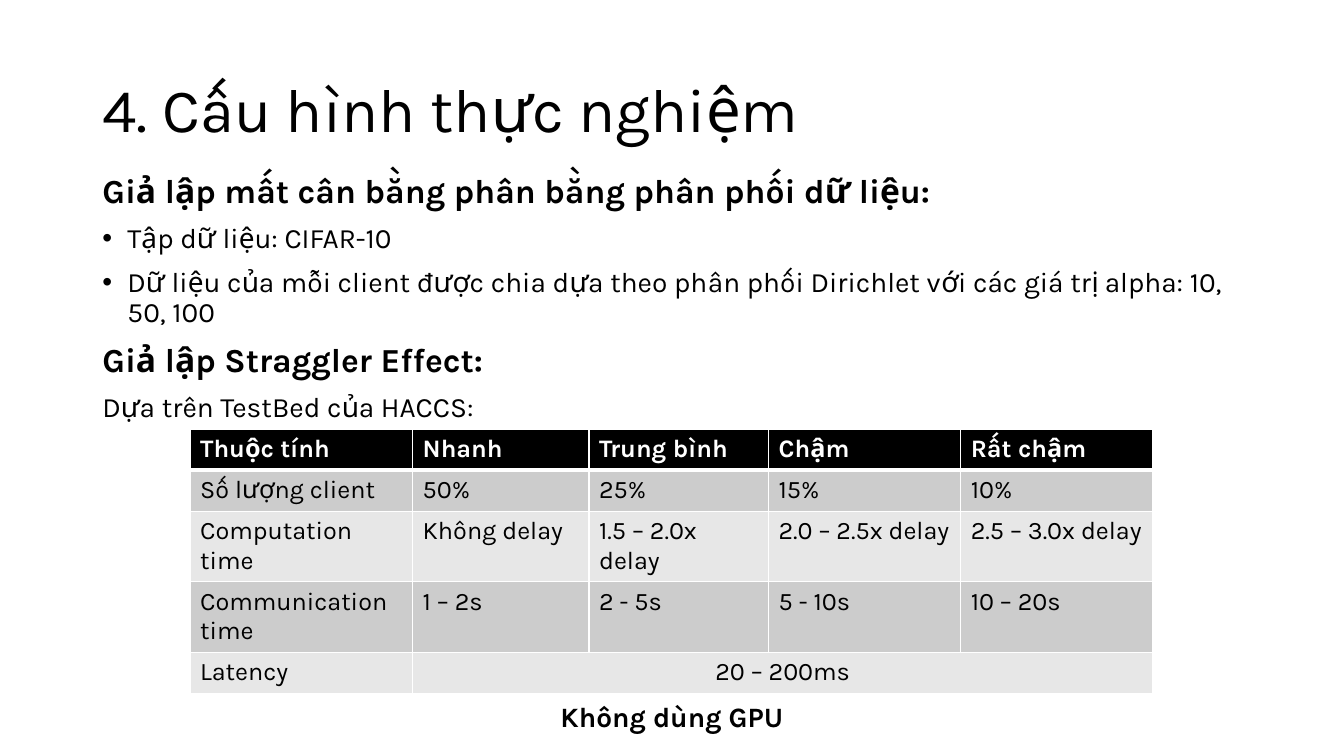
from lxml.etree import SubElement
from pptx import Presentation
from pptx.dml.color import RGBColor
from pptx.enum.text import MSO_ANCHOR, PP_ALIGN
from pptx.oxml.ns import qn
from pptx.util import Pt

PX = 9525  # EMU in one px, 96 px to the inch
FACE = "Karla"
BLACK = RGBColor(0x00, 0x00, 0x00)
WHITE = RGBColor(0xFF, 0xFF, 0xFF)
GREY = RGBColor(0xCC, 0xCC, 0xCC)
PALE = RGBColor(0xE7, 0xE7, 0xE7)

TITLE = "4. Cấu hình thực nghiệm"
# Text, size, bold, bullet
LINES = [
    ("Giả lập mất cân bằng phân bằng phân phối dữ liệu:", 24, True, False),
    ("Tập dữ liệu: CIFAR-10", 20, False, True),
    ("Dữ liệu của mỗi client được chia dựa theo phân phối Dirichlet "
     "với các giá trị alpha: 10, 50, 100", 20, False, True),
    ("Giả lập Straggler Effect:", 24, True, False),
    ("Dựa trên TestBed của HACCS:", 20, False, False),
]
NOTE = "Không dùng GPU"
ROWS = [
    ["Thuộc tính", "Nhanh", "Trung bình", "Chậm", "Rất chậm"],
    ["Số lượng client", "50%", "25%", "15%", "10%"],
    ["Computation time", "Không delay", "1.5 – 2.0x delay",
     "2.0 – 2.5x delay", "2.5 – 3.0x delay"],
    ["Communication time", "1 – 2s", "2 - 5s", "5 - 10s", "10 – 20s"],
    ["Latency", "20 – 200ms"],
]
WIDTHS = [212, 168, 171, 183, 183]
HEIGHTS = [39, 39, 66, 66, 39]


def add_box(slide, left, top, width, height, anchor):
    box = slide.shapes.add_textbox(left * PX, top * PX, width * PX, height * PX)
    frame = box.text_frame
    frame.word_wrap = True
    frame.vertical_anchor = anchor
    return frame


def set_text(para, text, size, bold=False, color=BLACK):
    para.text = text
    font = para.font
    font.name, font.size, font.bold = FACE, Pt(size), bold
    font.color.rgb = color


def set_space(para, before):
    para.line_spacing = 0.9
    para.space_before = Pt(before)


def add_bullet(para):
    props = para._p.get_or_add_pPr()
    props.set("marL", str(24 * PX))
    props.set("indent", str(-24 * PX))
    SubElement(props, qn("a:buFont")).set("typeface", "Arial")
    SubElement(props, qn("a:buChar")).set("char", "•")
    # The font defaults must follow the bullet
    props.append(props.find(qn("a:defRPr")))


def add_edge(props, side, width):
    line = SubElement(props, qn("a:" + side), w=str(Pt(width)))
    fill = SubElement(line, qn("a:solidFill"))
    SubElement(fill, qn("a:srgbClr"), val=str(WHITE))


def style_cell(cell, fill, low, high):
    props = cell._tc.get_or_add_tcPr()
    for side, width in (("lnL", 1), ("lnR", 1), ("lnT", high), ("lnB", low)):
        add_edge(props, side, width)
    cell.fill.solid()
    cell.fill.fore_color.rgb = fill


def add_title(slide):
    frame = add_box(slide, 88, 38, 1104, 139, MSO_ANCHOR.MIDDLE)
    para = frame.paragraphs[0]
    set_text(para, TITLE, 44)
    set_space(para, 0)


def add_body(slide):
    frame = add_box(slide, 88, 161, 1104, 549, MSO_ANCHOR.TOP)
    for i, (text, size, bold, bullet) in enumerate(LINES):
        para = frame.add_paragraph() if i else frame.paragraphs[0]
        set_text(para, text, size, bold)
        set_space(para, 10)
        if bullet:
            add_bullet(para)
    # The note sits below the table
    para = frame.add_paragraph()
    set_text(para, NOTE, 20, True)
    set_space(para, 200)
    para.alignment = PP_ALIGN.CENTER


def add_grid(slide):
    grid = slide.shapes.add_table(
        len(ROWS), len(WIDTHS), 181 * PX, 409 * PX,
        sum(WIDTHS) * PX, sum(HEIGHTS) * PX).table
    for col, width in zip(grid.columns, WIDTHS):
        col.width = width * PX
    for row, height in zip(grid.rows, HEIGHTS):
        row.height = height * PX
    # Fills, borders and words
    for r, words in enumerate(ROWS):
        fill = (GREY if r % 2 else PALE) if r else BLACK
        for c in range(len(WIDTHS)):
            style_cell(grid.cell(r, c), fill, 1 if r else 3, 3 if r == 1 else 1)
        for c, word in enumerate(words):
            set_text(grid.cell(r, c).text_frame.paragraphs[0], word, 18,
                     r == 0, BLACK if r else WHITE)
    # One latency range for all four speeds
    span = grid.cell(4, 1)
    span.merge(grid.cell(4, 4))
    span.text_frame.paragraphs[0].alignment = PP_ALIGN.CENTER


def main():
    deck = Presentation()
    deck.slide_width, deck.slide_height = 1280 * PX, 720 * PX
    slide = deck.slides.add_slide(deck.slide_layouts[6])
    add_title(slide)
    add_body(slide)
    add_grid(slide)
    deck.save("out.pptx")


if __name__ == "__main__":
    main()
